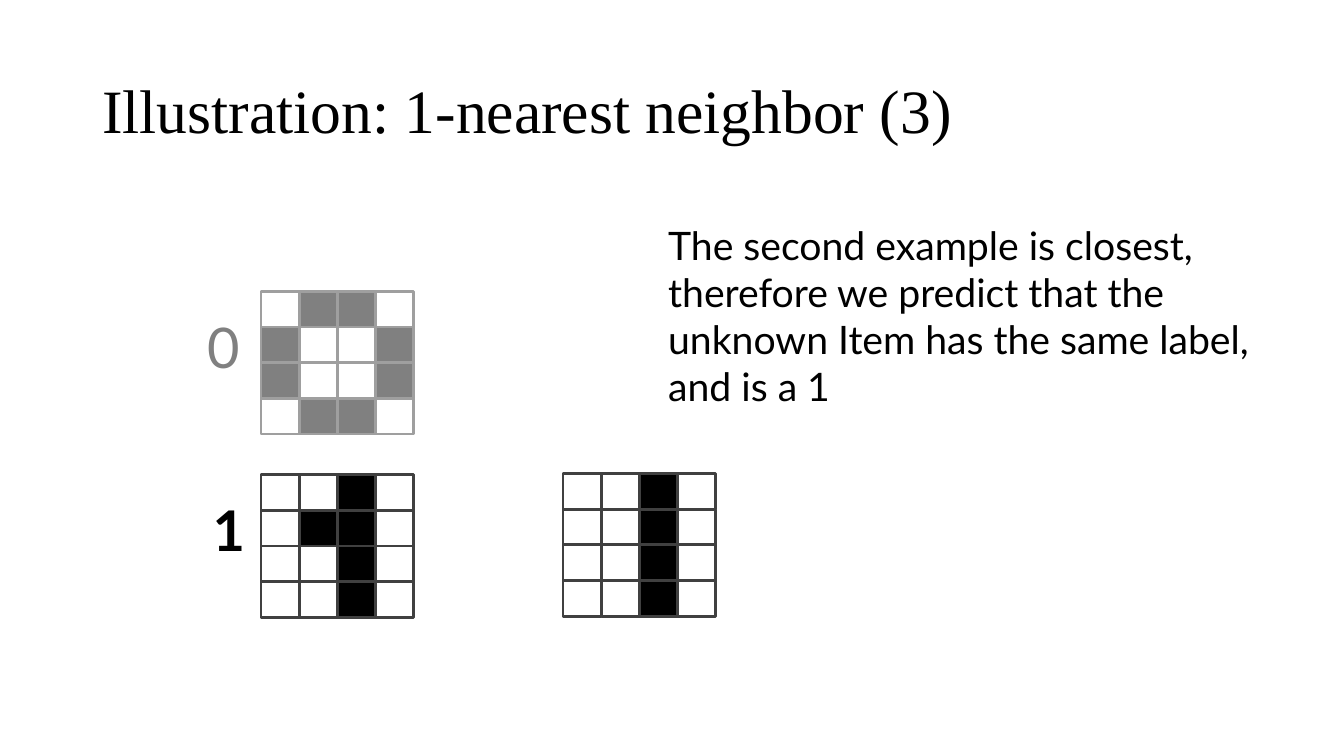
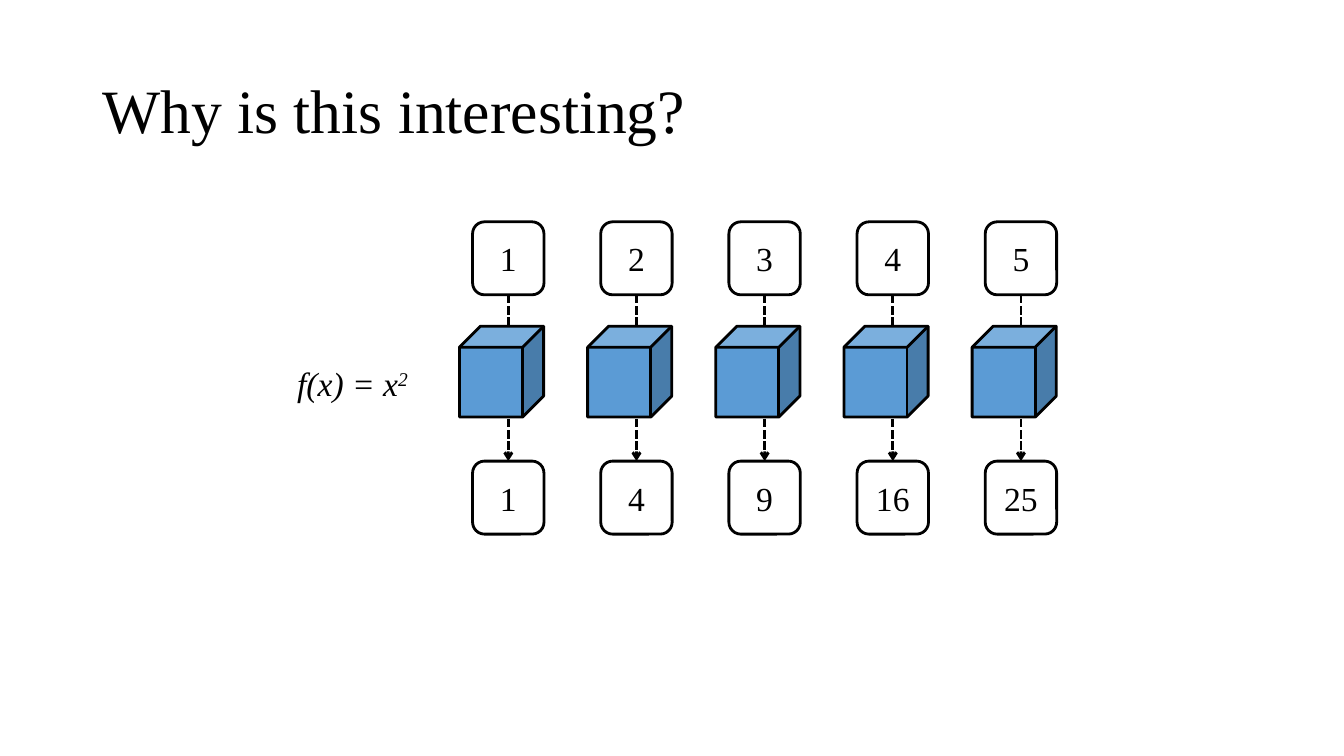
"""Build two slides on nearest neighbours and parallel function evaluation."""
from dataclasses import dataclass

from lxml import etree
from pptx import Presentation
from pptx.dml.color import RGBColor
from pptx.enum.dml import MSO_LINE
from pptx.enum.shapes import MSO_CONNECTOR, MSO_SHAPE
from pptx.enum.text import MSO_ANCHOR, MSO_AUTO_SIZE, PP_ALIGN
from pptx.oxml.ns import qn
from pptx.util import Cm, Pt

RECT, ROUNDED, CUBE = MSO_SHAPE.RECTANGLE, MSO_SHAPE.ROUNDED_RECTANGLE, MSO_SHAPE.CUBE
STRAIGHT, DASHED = MSO_CONNECTOR.STRAIGHT, MSO_LINE.SQUARE_DOT
MIDDLE, CENTER, GROW = MSO_ANCHOR.MIDDLE, PP_ALIGN.CENTER, MSO_AUTO_SIZE.SHAPE_TO_FIT_TEXT


@dataclass(frozen=True)
class Theme:
    """Colours, fonts and sizes shared by the slides."""
    black: RGBColor = RGBColor(0, 0, 0)
    white: RGBColor = RGBColor(255, 255, 255)
    grid: RGBColor = RGBColor(0x40, 0x40, 0x40)
    blue: RGBColor = RGBColor(0x5B, 0x9B, 0xD5)
    serif: str = "Times New Roman"
    sans: str = "Lato"
    title: int = 44
    digit: int = 40
    body: int = 28
    label: int = 24
    stroke: int = 2


class Deck:
    """Hold the theme and the current slide, and draw elements on it."""

    def __init__(self, theme):
        """Start a widescreen presentation."""
        self.theme = theme
        self.prs = Presentation()
        self.prs.slide_width, self.prs.slide_height = Cm(33.87), Cm(19.05)
        self.s = None

    def slide(self, title):
        """Add a blank slide with its title."""
        self.s = self.prs.slides.add_slide(self.prs.slide_layouts[6])
        tf = self.s.shapes.add_textbox(Cm(2.33), Cm(1.01), Cm(29.21), Cm(3.68)).text_frame
        tf.word_wrap = True
        tf.vertical_anchor = MIDDLE
        p = tf.paragraphs[0]
        p.text = title
        p.line_spacing = 0.9
        self.style(p, self.theme.serif, self.theme.title)

    def style(self, p, name, size, bold=False, italic=False):
        """Set the font of a paragraph."""
        p.font.name, p.font.size = name, Pt(size)
        p.font.bold, p.font.italic = bold, italic
        p.font.color.rgb = self.theme.black

    def text(self, x, y, w, h, lines, name, size, bold=False, italic=False):
        """Add an unwrapped text box, one paragraph per line."""
        tf = self.s.shapes.add_textbox(Cm(x), Cm(y), Cm(w), Cm(h)).text_frame
        tf.word_wrap = False
        tf.auto_size = GROW
        tf.text = "\n".join(lines)
        for p in tf.paragraphs:
            self.style(p, name, size, bold, italic)
        return tf

    def shape(self, kind, x, y, w, h, fill, line=None, shapes=None):
        """Add a filled preset shape, outlined if a line colour is given."""
        shapes = self.s.shapes if shapes is None else shapes
        sp = shapes.add_shape(kind, Cm(x), Cm(y), Cm(w), Cm(h))
        sp.shadow.inherit = False
        sp.fill.solid()
        sp.fill.fore_color.rgb = fill
        if line is None:
            sp.line.fill.background()
        else:
            sp.line.color.rgb = line
            sp.line.width = Pt(self.theme.stroke)
        return sp

    def pixels(self, x, y, rows, w=0.96, h=0.9):
        """Draw a grouped bitmap where # marks a black cell."""
        group = self.s.shapes.add_group_shape()
        for i, row in enumerate(rows):
            for j, mark in enumerate(row):
                fill = self.theme.black if mark == "#" else self.theme.white
                self.shape(RECT, x + j * w, y + i * h, w, h, fill, self.theme.grid, group.shapes)

    def veil(self, x, y, w, h):
        """Fade an area with half-transparent white."""
        sp = self.shape(RECT, x, y, w, h, self.theme.white)
        color = sp.fill._xPr.find(qn("a:solidFill"))[0]
        etree.SubElement(color, qn("a:alpha"), val="50000")

    def number_box(self, x, y, w, h, number):
        """Add a rounded box with a centred number."""
        sp = self.shape(ROUNDED, x, y, w, h, self.theme.white, self.theme.black)
        tf = sp.text_frame
        tf.vertical_anchor = MIDDLE
        p = tf.paragraphs[0]
        p.text = str(number)
        p.alignment = CENTER
        self.style(p, self.theme.serif, self.theme.label)

    def down_arrow(self, x, top, bottom):
        """Add a dashed vertical arrow."""
        cxn = self.s.shapes.add_connector(STRAIGHT, Cm(x), Cm(top), Cm(x), Cm(bottom))
        cxn.line.color.rgb = self.theme.black
        cxn.line.width = Pt(self.theme.stroke)
        cxn.line.dash_style = DASHED
        etree.SubElement(cxn.line._get_or_add_ln(), qn("a:tailEnd"), type="arrow")
        etree.SubElement(cxn._element.spPr, qn("a:effectLst"))


def nearest_neighbor(deck):
    """Compare an unknown digit with two labelled examples."""
    t = deck.theme
    deck.slide("Illustration: 1-nearest neighbor (3)")
    deck.pixels(6.58, 7.34, (".##.", "#..#", "#..#", ".##."))
    deck.pixels(6.58, 11.96, ("..#.", ".##.", "..#.", "..#."))
    deck.pixels(14.19, 11.93, ("..#.",) * 4)
    deck.text(4.98, 7.75, 1.3, 1.96, ["0"], t.sans, t.digit)
    deck.text(5.11, 12.37, 1.09, 1.96, ["1"], t.sans, t.digit, bold=True)
    deck.veil(4.67, 7.11, 6.2, 4.34)
    deck.text(16.59, 5.44, 15.95, 5.05, [
        "The second example is closest,",
        "therefore we predict that the",
        "unknown Item has the same label,",
        "and is a 1",
    ], t.sans, t.body)


def parallel_squares(deck):
    """Show each input passing through its own function block."""
    t = deck.theme
    deck.slide("Why is this interesting?")
    left, pitch, w, h = 11.91, 3.23, 1.8, 1.84
    top, bottom = 5.59, 11.62
    for i in range(5):
        x, n = left + i * pitch, i + 1
        deck.number_box(x, top, w, h, n)
        deck.number_box(x, bottom, w, h, n * n)
        deck.down_arrow(x + w / 2, top + h, bottom)
        deck.shape(CUBE, x - 0.33, 8.22, 2.12, 2.29, t.blue, t.black)
    formula = deck.text(7.24, 9.02, 3.73, 1.27, ["f(x) = x"], t.serif, t.label, italic=True)
    r = formula.paragraphs[0].add_run()
    r.text = "2"
    r._r.get_or_add_rPr().set("baseline", "30000")


deck = Deck(Theme())
nearest_neighbor(deck)
parallel_squares(deck)
deck.prs.save("out.pptx")
